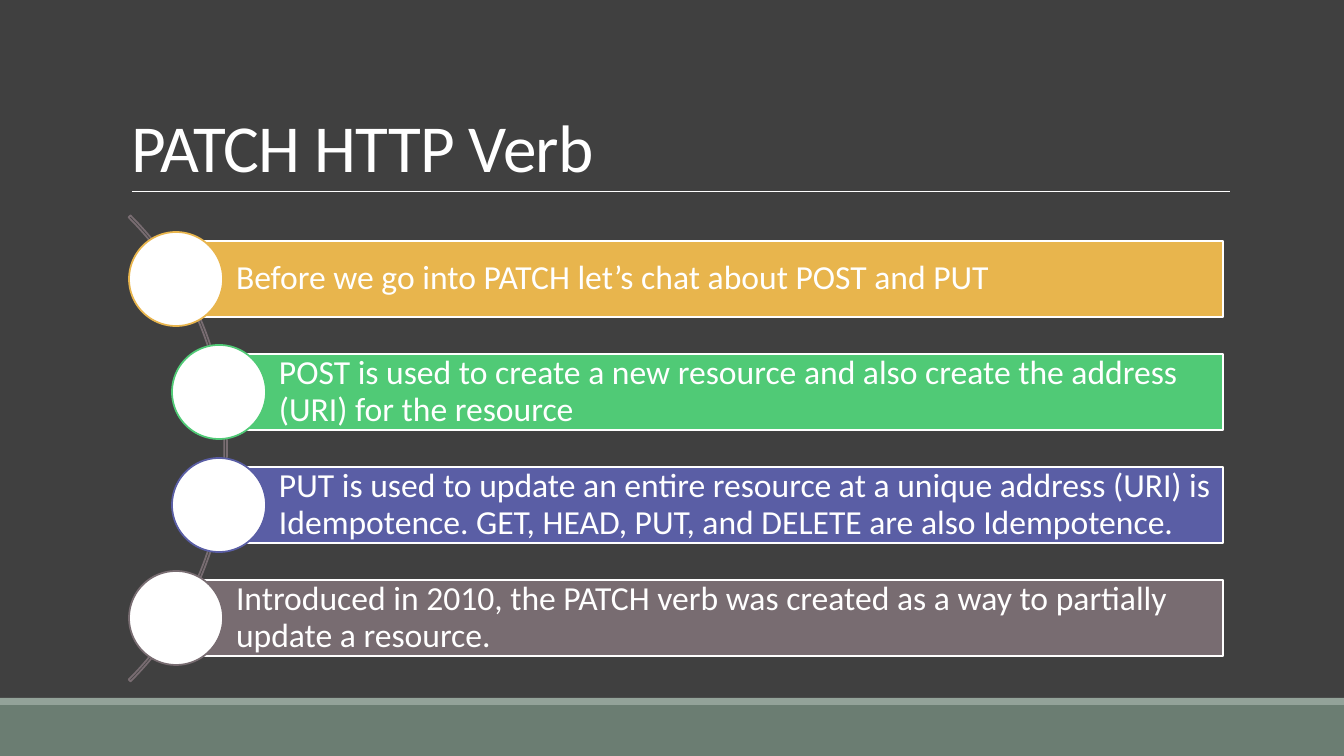
from dataclasses import dataclass

from lxml import etree
from pptx import Presentation, util as u
from pptx.dml.color import RGBColor
from pptx.enum import shapes, text
from pptx.oxml.ns import qn

PIXEL = 914400 / 100.8


@dataclass(frozen=True)
class Theme:
    font: str = "Calibri"
    title_size: int = 48
    body_size: int = 24
    outline: float = 1.25
    background: str = "404040"
    white: str = "FFFFFF"
    footer: str = "6B7D72"
    footer_edge: str = "93A299"
    arc: str = "786C71"


theme = Theme()


def px(*lengths):
    return [u.Emu(round(length * PIXEL)) for length in lengths]


def add_shape(kind, place, fill=None, line=None):
    shape = page.shapes.add_shape(kind, *px(*place))
    shape.shadow.inherit = False
    if fill:
        shape.fill.solid()
        shape.fill.fore_color.rgb = RGBColor.from_string(fill)
    else:
        shape.fill.background()
    if line:
        shape.line.color.rgb = RGBColor.from_string(line)
        shape.line.width = u.Pt(theme.outline)
    else:
        shape.line.fill.background()
    return shape


preset = shapes.MSO_SHAPE
deck = Presentation()
deck.slide_width, deck.slide_height = px(1344, 756)
page = deck.slides.add_slide(deck.slide_layouts[5])
page.background.fill.solid()
page.background.fill.fore_color.rgb = RGBColor.from_string(theme.background)

# Footer bands
add_shape(preset.RECTANGLE, (0, 705, 1344, 51), theme.footer)
add_shape(preset.RECTANGLE, (0, 698, 1344, 7), theme.footer_edge)

# Title and its rule
title = page.shapes.title
title.left, title.top, title.width, title.height = px(121, 31, 1109, 160)
title.text_frame.text = "PATCH HTTP Verb"
title.text_frame.auto_size = text.MSO_AUTO_SIZE.NONE
title.text_frame.vertical_anchor = text.MSO_ANCHOR.BOTTOM
para = title.text_frame.paragraphs[0]
para.alignment = text.PP_ALIGN.LEFT
para.line_spacing = 0.85
para.font.name = theme.font
para.font.size = u.Pt(theme.title_size)
para.font.color.rgb = RGBColor.from_string(theme.white)
para.runs[0]._r.get_or_add_rPr().set("spc", "-50")

rule = page.shapes.add_connector(
    shapes.MSO_CONNECTOR.STRAIGHT, *px(132, 191, 1230, 191))
rule.line.color.rgb = RGBColor.from_string(theme.white)
rule.line.width = u.Pt(0.5)
etree.SubElement(rule._element.spPr, qn("a:effectLst"))

# Arc behind the list, from 315 to 45 degrees
arc = add_shape(preset.BLOCK_ARC, (-432, 119, 659, 659), line=theme.arc)
for index, value in enumerate((189, 27, 0.004)):
    arc.adjustments[index] = value

# List: a bar with a circle over its left end
BAR_RIGHT, BAR_HEIGHT, CIRCLE, STEP = 1223, 76, 94, 113
points = [
    (129, "E8B54D", "Before we go into PATCH let’s chat about POST and PUT"),
    (172, "50CA76", "POST is used to create a new resource and also create "
                    "the address (URI) for the resource"),
    (172, "5A5EA5", "PUT is used to update an entire resource at a unique "
                    "address (URI) is Idempotence. GET, HEAD, PUT, and DELETE "
                    "are also Idempotence."),
    (129, "786C71", "Introduced in 2010, the PATCH verb was created as a way "
                    "to partially update a resource."),
]
for row, (left, color, wording) in enumerate(points):
    top = 232 + row * STEP
    bar_left = left + CIRCLE // 2
    bar_top = top + (CIRCLE - BAR_HEIGHT) // 2
    bar = add_shape(preset.RECTANGLE,
                    (bar_left, bar_top, BAR_RIGHT - bar_left, BAR_HEIGHT),
                    color, theme.white)
    frame = bar.text_frame
    frame.word_wrap = True
    frame.vertical_anchor = text.MSO_ANCHOR.MIDDLE
    (frame.margin_left, frame.margin_top,
     frame.margin_right, frame.margin_bottom) = px(60, 7, 7, 7)
    frame.text = wording
    para = frame.paragraphs[0]
    para.alignment = text.PP_ALIGN.LEFT
    para.line_spacing = 0.9
    para.font.name = theme.font
    para.font.size = u.Pt(theme.body_size)
    para.font.color.rgb = RGBColor.from_string(theme.white)
    add_shape(preset.OVAL, (left, top, CIRCLE, CIRCLE), theme.white, color)

deck.save("out.pptx")
